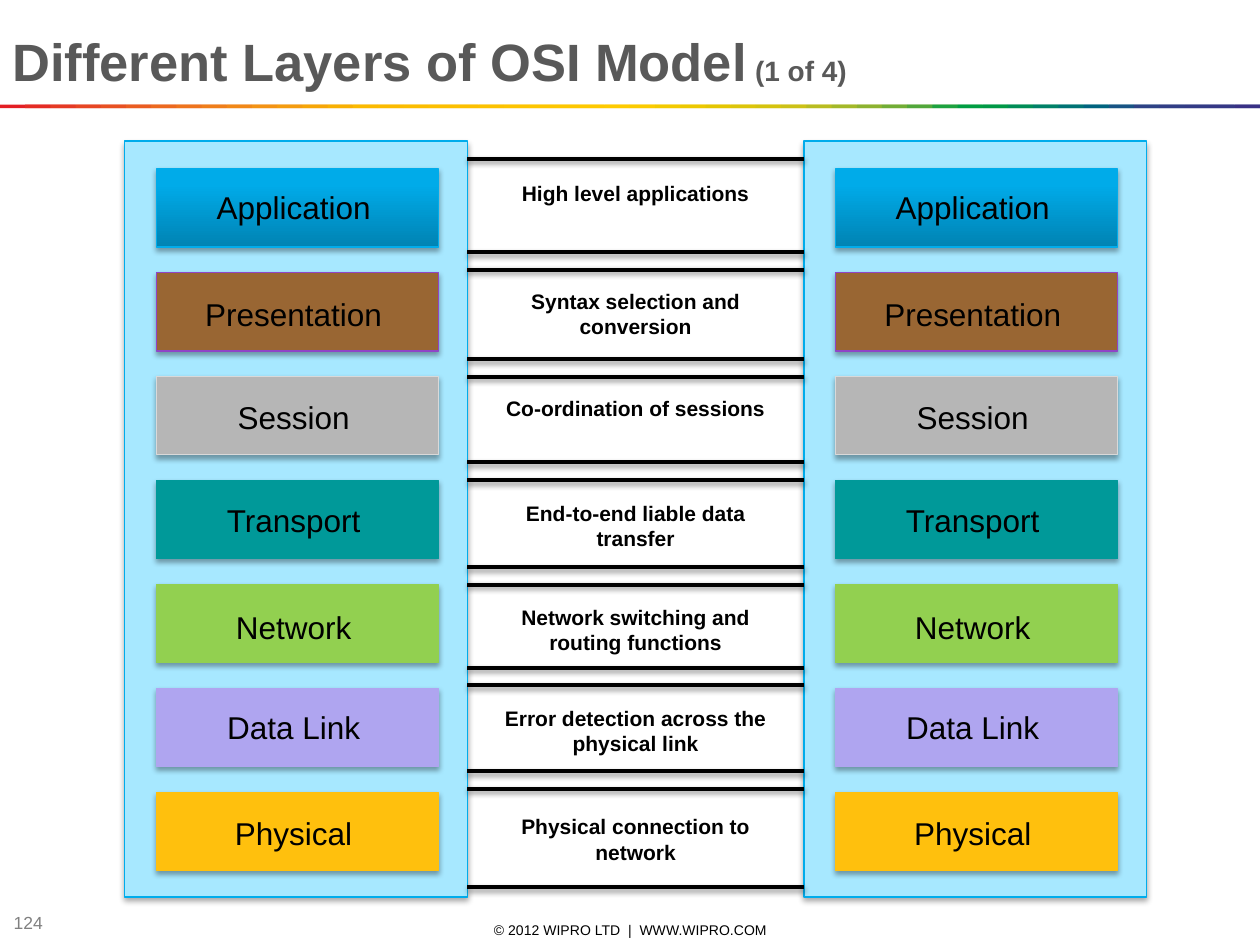
from lxml.etree import SubElement
from pptx import Presentation
from pptx.dml.color import RGBColor
from pptx.enum.shapes import MSO_CONNECTOR, MSO_SHAPE
from pptx.enum.text import MSO_ANCHOR, PP_ALIGN
from pptx.oxml.ns import qn
from pptx.util import Inches, Pt

# Content: layer, label top, fill, outline, function, function top, rule tops
LAYERS = [
    ("Application", 1.44, None, "00ACEB", "High level applications", 1.38, (1.26, 2.0)),
    ("Presentation", 2.29, "996633", "8F45C7", "Syntax selection and conversion", 2.24, (2.14, 2.85)),
    ("Session", 3.11, "B6B6B6", "D9D9D9", "Co-ordination of sessions", 3.09, (2.99, 3.67)),
    ("Transport", 3.93, "009999", "009999", "End-to-end liable data transfer", 3.92, (3.81, 4.5)),
    ("Network", 4.78, "92D050", "92D050", "Network switching and routing functions", 4.75, (4.64, 5.3)),
    ("Data Link", 5.57, "AFA5F0", "AFA5F0", "Error detection across the physical link", 5.55, (5.44, 6.12)),
    ("Physical", 6.41, "FFC00D", "FFC00D", "Physical connection to network", 6.41, (6.26, 7.04)),
]
GRADIENT = ["0083B3", "00ABE9"]
STACK_LEFTS = [0.99, 6.38]
STACK_WIDTH = 2.72
BOX_TOP, BOX_PITCH = 1.34, 0.825
RAINBOW = """
E31E24 E42C24 E53A24 E74623 E85122 EA5D21 EC691F EE741D EF7E1A F18817
F39314 F49C0F F6A607 F8B002 FBBA00 FBBB00 FBBD00 FCBF00 FCC000 FCC200
FDC400 FDC600 FDC700 FEC900 FECB00 FBCB00 F3CA00 ECC800 E4C602 DCC50A
D5C30E CCC117 B8BC21 A3B829 8CB230 71AD36 51A73B 1DA240 009D43 009846
008C57 008068 007275 00637F 185384 2E4285 313E85 333B85 353885 393185
""".split()

prs = Presentation()
prs.slide_width, prs.slide_height = Inches(10), Inches(7.5)
s = prs.slides.add_slide(prs.slide_layouts[6])


def rgb(color):
    return RGBColor.from_string(color)


def add_shadow(effects, alpha, distance):
    shadow = SubElement(effects, qn("a:outerShdw"), blurRad=str(Pt(3.1)),
                        dist=str(Pt(distance)), dir="5400000", rotWithShape="0")
    color = SubElement(shadow, qn("a:srgbClr"), val="000000")
    SubElement(color, qn("a:alpha"), val=str(alpha * 1000))


def add_box(x, y, w, h, fill, line=None):
    sp = s.shapes.add_shape(MSO_SHAPE.RECTANGLE, Inches(x), Inches(y), Inches(w), Inches(h))
    sp.shadow.inherit = False
    if fill:
        sp.fill.solid()
        sp.fill.fore_color.rgb = rgb(fill)
    else:
        sp.fill.gradient()
        sp.fill.gradient_angle = 90
        for stop, color, position in zip(sp.fill.gradient_stops, GRADIENT, (0, 0.8)):
            stop.color.rgb = rgb(color)
            stop.position = position
    if line:
        sp.line.color.rgb = rgb(line)
        sp.line.width = Pt(0.75)
        add_shadow(sp._element.spPr.find(qn("a:effectLst")), 35, 1.8)
    else:
        sp.line.fill.background()


def add_rule(y, x1, x2):
    rule = s.shapes.add_connector(MSO_CONNECTOR.STRAIGHT, Inches(x1), Inches(y), Inches(x2), Inches(y))
    rule.line.color.rgb = rgb("000000")
    rule.line.width = Pt(2.25)
    add_shadow(SubElement(rule._element.spPr, qn("a:effectLst")), 38, 1.6)


def add_text(x, y, w, h, runs, color="000000", bold=False,
             align=PP_ALIGN.CENTER, anchor=MSO_ANCHOR.TOP):
    tf = s.shapes.add_textbox(Inches(x), Inches(y), Inches(w), Inches(h)).text_frame
    tf.word_wrap = True
    tf.vertical_anchor = anchor
    p = tf.paragraphs[0]
    p.alignment = align
    for text, size in runs:
        r = p.add_run()
        r.text = text
        r.font.name, r.font.size, r.font.bold = "Arial", Pt(size), bold
        r.font.color.rgb = rgb(color)


# Footer
add_text(3.42, 7.3, 3.17, 0.16, [("© 2012 WIPRO LTD  |  WWW.WIPRO.COM", 8)],
         anchor=MSO_ANCHOR.MIDDLE)
add_text(0.01, 7.22, 0.75, 0.21, [("124", 10)], "808080",
         align=PP_ALIGN.LEFT, anchor=MSO_ANCHOR.MIDDLE)

# Rainbow band: overlapping steps, the last one cut at the slide edge
step = 10 / len(RAINBOW)
for i, color in enumerate(RAINBOW):
    add_box(i * step, 0.83, min(2 * step, 10 - i * step), 0.03, color)

# Title
add_text(0, 0.17, 10, 0.61, [("Different Layers of OSI Model", 30), (" (1 of 4)", 16)],
         "595959", True, PP_ALIGN.LEFT, MSO_ANCHOR.BOTTOM)

# The two layer stacks
for left in STACK_LEFTS:
    add_box(left, 1.12, STACK_WIDTH, 6, "A7E8FF", "00ACEB")
    for i, (name, label_top, fill, line, *_) in enumerate(LAYERS):
        add_box(left + 0.25, BOX_TOP + i * BOX_PITCH, 2.24, 0.62, fill, line)
        add_text(left + 0.4, label_top, 1.88, 0.39, [(name, 18)])

# Functions between the stacks, each framed by two rules
gap_left, gap_right = STACK_LEFTS[0] + STACK_WIDTH, STACK_LEFTS[1]
for *_, function, text_top, rule_tops in LAYERS:
    for y in rule_tops:
        add_rule(y, gap_left, gap_right)
    add_text(3.76, text_top, 2.57, 0.49, [(function, 12)], bold=True)

prs.save("out.pptx")
